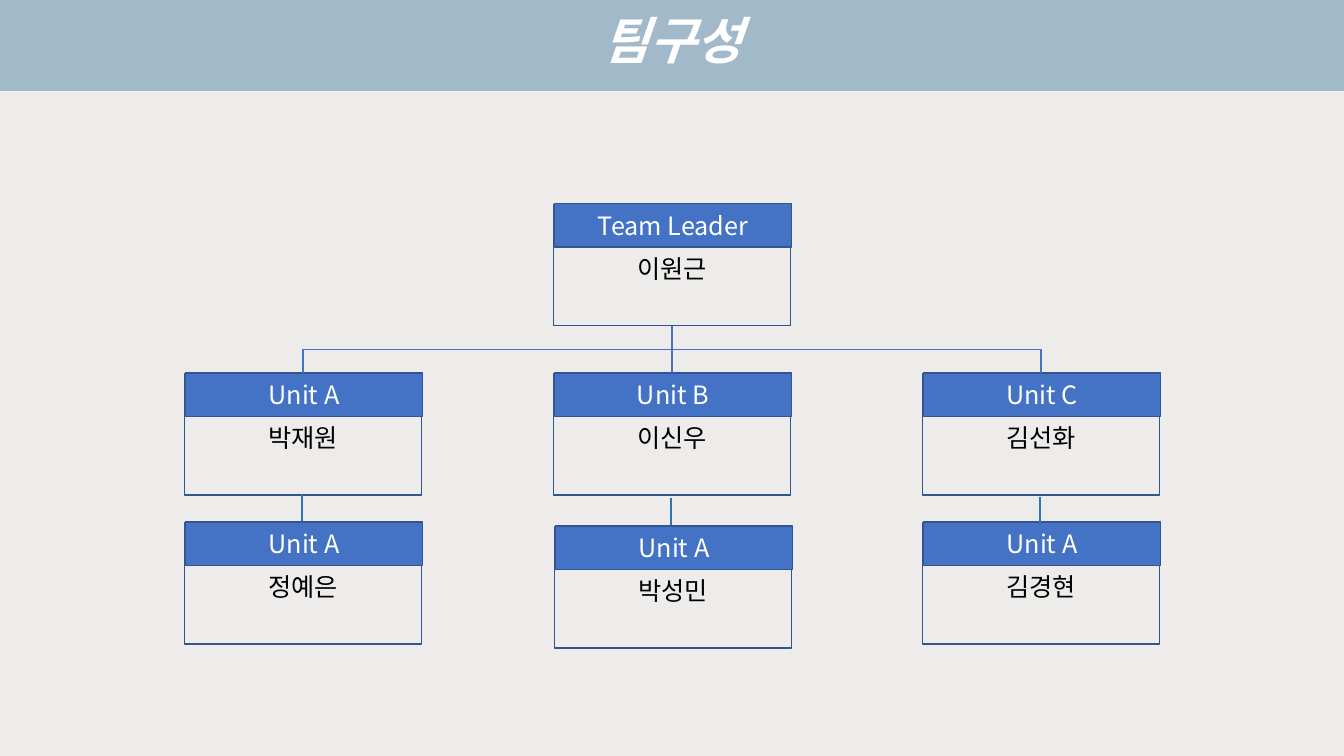
"""Build the team chart slide."""
from dataclasses import dataclass

from lxml import etree
from pptx import Presentation, util as u
from pptx.dml.color import RGBColor
from pptx.enum import shapes, text
from pptx.oxml import ns
from pptx.shapes import autoshape as auto, connector as conn, shapetree as tree

FONT = "Noto Sans CJK KR"
WHITE = RGBColor(0xFF, 0xFF, 0xFF)
BLACK = RGBColor(0, 0, 0)
PAPER = RGBColor(0xED, 0xEC, 0xEA)
BAND = RGBColor(0xA2, 0xB9, 0xC9)
BLUE = RGBColor(0x44, 0x72, 0xC4)
EDGE = RGBColor(0x32, 0x54, 0x91)
LINK = RGBColor(0x2E, 0x75, 0xB6)

WIDE, HIGH = 13.33, 7.5
LEFT, PITCH = 1.83, 3.66
ROWS = (2.02, 3.7, 5.18)
CARD, TALL = 2.35, 1.2
HEAD, NAME = 0.43, 0.4


@dataclass(frozen=True)
class Card:
    """A role and a person in one cell of the grid."""
    role: str
    name: str
    col: int
    row: int
    dx: float = 0
    dy: float = 0


@dataclass(frozen=True)
class Stem:
    """A short link under one column."""
    col: int
    top: float


CARDS = (
    Card("Team Leader", "이원근", 1, 0),
    Card("Unit A", "박재원", 0, 1),
    Card("Unit B", "이신우", 1, 1),
    Card("Unit C", "김선화", 2, 1),
    Card("Unit A", "정예은", 0, 2),
    Card("Unit A", "박성민", 1, 2, 0.01, 0.04),
    Card("Unit A", "김경현", 2, 2),
)
STEMS = (Stem(0, 4.9), Stem(1, 4.94), Stem(2, 4.93))


def mid(col: int) -> float:
    """Return the centre of a column."""
    return LEFT + PITCH * col + CARD / 2


def write(shape: auto.Shape, words: str, size: float, tint: RGBColor,
          slant: bool = False) -> None:
    """Put one centred run in a shape."""
    frame = shape.text_frame
    frame.word_wrap = True
    para = frame.paragraphs[0]
    para.alignment = text.PP_ALIGN.CENTER
    run = para.add_run()
    run.text = words
    font = run.font
    font.size = u.Pt(size)
    font.bold = font.italic = slant
    font.color.rgb = tint
    font.name = FONT
    east = etree.SubElement(run._r.get_or_add_rPr(), ns.qn("a:ea"))
    east.set("typeface", FONT)


def label(pool: tree._BaseGroupShapes, x: float, y: float, w: float, h: float,
          words: str, size: float, tint: RGBColor, slant: bool = False) -> None:
    """Add a text box that fits its text."""
    box = pool.add_textbox(u.Inches(x), u.Inches(y), u.Inches(w), u.Inches(h))
    write(box, words, size, tint, slant)
    box.text_frame.auto_size = text.MSO_AUTO_SIZE.SHAPE_TO_FIT_TEXT


def block(pool: tree._BaseGroupShapes, x: float, y: float, h: float) -> auto.Shape:
    """Add an outlined, unfilled rectangle of card width."""
    rect = pool.add_shape(shapes.MSO_SHAPE.RECTANGLE, u.Inches(x), u.Inches(y),
                          u.Inches(CARD), u.Inches(h))
    rect.shadow.inherit = False
    rect.fill.background()
    rect.line.color.rgb = EDGE
    rect.line.width = u.Pt(1)
    return rect


def draw(pool: tree._BaseGroupShapes, card: Card) -> None:
    """Draw a card with its role and name."""
    x = LEFT + PITCH * card.col + card.dx
    y = ROWS[card.row] + card.dy
    block(pool, x, y + 0.01, TALL)
    head = block(pool, x + 0.01, y, HEAD)
    head.fill.solid()
    head.fill.fore_color.rgb = BLUE
    head.text_frame.vertical_anchor = text.MSO_ANCHOR.MIDDLE
    write(head, card.role, 18, WHITE)
    label(pool, x, y + 0.44, CARD, NAME, card.name, 18, BLACK)


def link(pool: tree._BaseGroupShapes, x: float, y: float, to_x: float,
         to_y: float, tint: RGBColor, bent: bool = False) -> conn.Connector:
    """Add a straight or bent line."""
    kind = shapes.MSO_CONNECTOR.ELBOW if bent else shapes.MSO_CONNECTOR.STRAIGHT
    line = pool.add_connector(kind, u.Inches(x), u.Inches(y),
                              u.Inches(to_x), u.Inches(to_y))
    line.line.color.rgb = tint
    line.line.width = u.Pt(1)
    etree.SubElement(line._element.spPr, ns.qn("a:effectLst"))
    return line


def branch(pool: tree._BaseGroupShapes, side: int) -> None:
    """Bend a line from the leader to the column on one side."""
    top, low = ROWS[0] + 0.01 + TALL, ROWS[1]
    x, y = mid(1) + side * PITCH / 2, (top + low) / 2
    half = side * (low - top) / 2
    line = link(pool, x + half, y - PITCH / 2, x - half, y + PITCH / 2, BLUE, True)
    turn = 180 + 90 * side
    line._element.spPr.find(ns.qn("a:xfrm")).set("rot", str(turn * 60000))


def main() -> None:
    """Build and save the slide."""
    deck = Presentation()
    deck.slide_width, deck.slide_height = u.Inches(WIDE), u.Inches(HIGH)
    slide = deck.slides.add_slide(deck.slide_layouts[6])
    fill = slide.background.fill
    fill.gradient()
    fill.gradient_angle = 90
    for stop, tint in zip(fill.gradient_stops, (PAPER, BAND)):
        stop.position = 0.88
        stop.color.rgb = tint
    label(slide.shapes, 2.95, 0.04, 7.44, 0.71, "팀구성", 36, WHITE, True)
    pool = slide.shapes.add_group_shape().shapes
    for card in CARDS:
        draw(pool, card)
    for side in (-1, 1):
        branch(pool, side)
    link(pool, mid(1), ROWS[0] + 0.01 + TALL, mid(1), ROWS[1], BLUE)
    for stem in STEMS:
        x = mid(stem.col) - 0.01
        link(pool, x, stem.top, x, stem.top + 0.27, LINK)
    deck.save("out.pptx")


if __name__ == "__main__":
    main()
